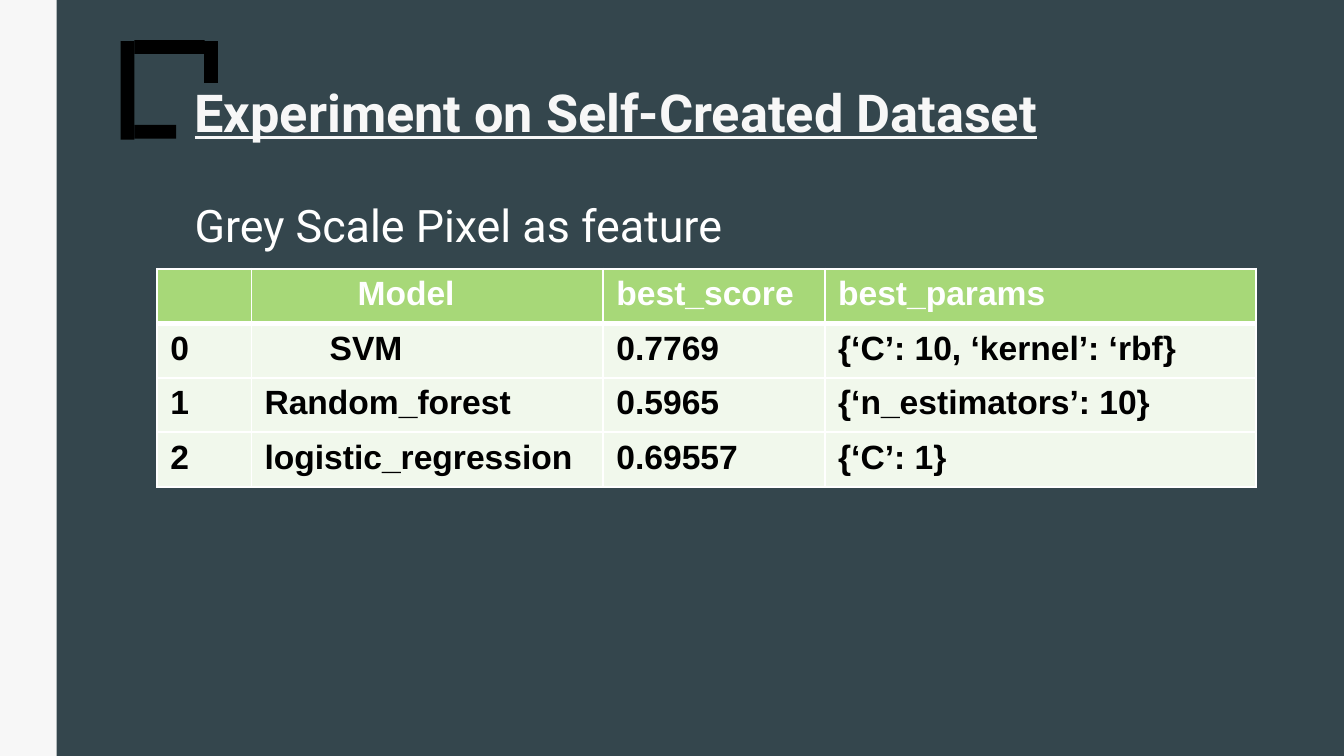
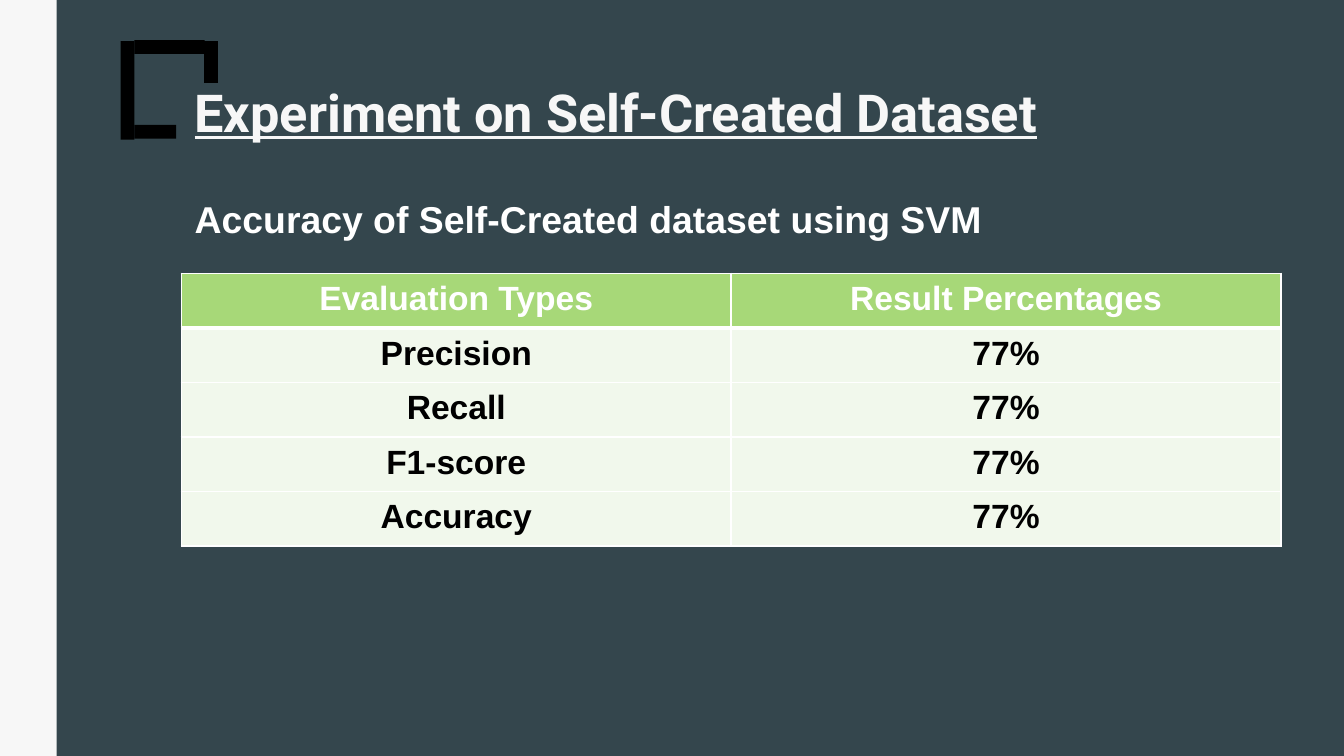
import lxml.etree
import pptx
import pptx.dml.color
import pptx.enum.shapes
import pptx.enum.text
import pptx.oxml.ns
import pptx.util

Cm = pptx.util.Cm
Pt = pptx.util.Pt

COLORS = {
    "background": "34464D",
    "band": "F7F7F7",
    "bracket": "000000",
    "white": "FFFFFF",
    "header": "A7D878",
    "row": "F1F8EC",
    "ink": "000000",
}
TITLE = "Experiment on Self-Created Dataset"
BRACKET = [
    (2.54, 0.76, 1.33, 0.26),
    (2.28, 0.78, 0.26, 1.86),
    (3.86, 0.78, 0.26, 0.79),
    (2.54, 2.36, 0.79, 0.26),
]
TEXT_LEFT, TEXT_WIDTH = 3.43, 19.84
ROW_HEIGHT = 1.03
CELL_INSET = 0.25


class SlideWriter:
    def __init__(self):
        self.deck = pptx.Presentation()
        self.deck.slide_width = Cm(25.4)
        self.deck.slide_height = Cm(14.29)
        self.page = None

    def color(self, name):
        return pptx.dml.color.RGBColor.from_string(COLORS[name])

    def start_page(self):
        self.page = self.deck.slides.add_slide(self.deck.slide_layouts[6])
        fill = self.page.background.fill
        fill.solid()
        fill.fore_color.rgb = self.color("background")
        for bar in BRACKET:
            self.bar(*bar, "bracket")
        self.bar(0, 0, 1.07, 14.29, "band")
        self.title()

    def bar(self, left, top, width, height, color):
        shape = self.page.shapes.add_shape(
            pptx.enum.shapes.MSO_SHAPE.RECTANGLE,
            Cm(left), Cm(top), Cm(width), Cm(height))
        shape.shadow.inherit = False
        shape.fill.solid()
        shape.fill.fore_color.rgb = self.color(color)
        shape.line.fill.background()

    def style(self, para, size, color, font="Arial", bold=True):
        for span in para.runs:
            span.font.name = font
            span.font.size = Pt(size)
            span.font.bold = bold
            span.font.color.rgb = self.color(color)

    def text(self, text, top, height):
        box = self.page.shapes.add_textbox(
            Cm(TEXT_LEFT), Cm(top), Cm(TEXT_WIDTH), Cm(height))
        box.text_frame.word_wrap = True
        box.text_frame.text = text
        return box.text_frame

    def title(self):
        frame = self.text(TITLE, 1.32, 1.57)
        frame.vertical_anchor = pptx.enum.text.MSO_ANCHOR.MIDDLE
        para = frame.paragraphs[0]
        self.style(para, 28, "band", "Roboto")
        para.runs[0].font.underline = True

    def body(self, text, size, font, bold):
        frame = self.text(text, 3.38, 8.76)
        frame.margin_top = Cm(0.25)
        para = frame.paragraphs[0]
        para.space_before = Pt(12)
        para.line_spacing = 1.1
        self.style(para, size, "white", font, bold)

    def borders(self, cell, top, bottom):
        properties = cell._tc.get_or_add_tcPr()
        widths = {"lnL": 1, "lnR": 1, "lnT": top, "lnB": bottom}
        for index, (tag, width) in enumerate(widths.items()):
            line = lxml.etree.Element(pptx.oxml.ns.qn("a:" + tag), w=str(Pt(width)))
            fill = lxml.etree.SubElement(line, pptx.oxml.ns.qn("a:solidFill"))
            lxml.etree.SubElement(
                fill, pptx.oxml.ns.qn("a:srgbClr"), val=COLORS["white"])
            properties.insert(index, line)

    def table(self, left, top, widths, rows, align=None, indents=None):
        table = self.page.shapes.add_table(
            len(rows), len(widths), Cm(left), Cm(top),
            Cm(sum(widths)), Cm(ROW_HEIGHT * len(rows))).table
        table.horz_banding = False
        for column, width in zip(table.columns, widths):
            column.width = Cm(width)
        for row_index, texts in enumerate(rows):
            table.rows[row_index].height = Cm(ROW_HEIGHT)
            is_header = row_index == 0
            for column_index, text in enumerate(texts):
                cell = table.cell(row_index, column_index)
                indent = (indents or {}).get(text, 0)
                cell.margin_left = Cm(CELL_INSET + indent)
                cell.text = text
                para = cell.text_frame.paragraphs[0]
                para.alignment = align
                self.style(para, 18, "white" if is_header else "ink")
                cell.fill.solid()
                cell.fill.fore_color.rgb = self.color("header" if is_header else "row")
                self.borders(cell, 3 if row_index == 1 else 1, 3 if is_header else 1)


def main():
    writer = SlideWriter()

    writer.start_page()
    writer.body("Grey Scale Pixel as feature", 24, "Roboto", False)
    models = [
        ("", "Model", "best_score", "best_params"),
        ("0", "SVM", "0.7769", "{‘C’: 10, ‘kernel’: ‘rbf}"),
        ("1", "Random_forest", "0.5965", "{‘n_estimators’: 10}"),
        ("2", "logistic_regression", "0.69557", "{‘C’: 1}"),
    ]
    writer.table(2.97, 5.08, [1.78, 6.65, 4.19, 8.15], models,
                 indents={"Model": 1.76, "SVM": 1.23})

    writer.start_page()
    writer.body("Accuracy of Self-Created dataset using SVM", 20, "Arial", True)
    measures = ["Precision", "Recall", "F1-score", "Accuracy"]
    results = [("Evaluation Types", "Result Percentages")]
    results += [(measure, "77%") for measure in measures]
    writer.table(3.43, 5.17, [10.39, 10.39], results,
                 align=pptx.enum.text.PP_ALIGN.CENTER)

    writer.deck.save("out.pptx")


if __name__ == "__main__":
    main()
